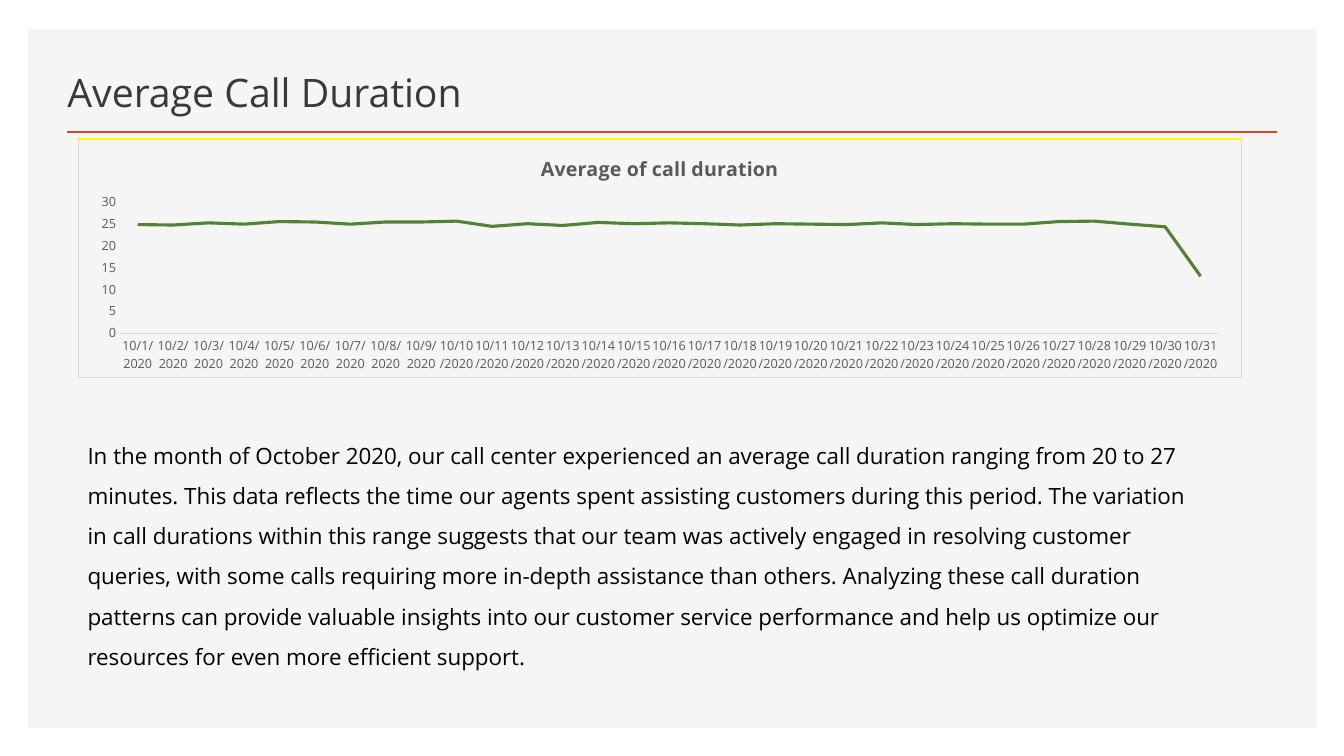
from lxml import etree
from pptx import Presentation
from pptx.chart.data import CategoryChartData
from pptx.dml.color import RGBColor
from pptx.enum.chart import XL_CHART_TYPE, XL_TICK_MARK
from pptx.enum.shapes import MSO_CONNECTOR, MSO_SHAPE
from pptx.enum.text import MSO_ANCHOR
from pptx.oxml import parse_xml
from pptx.oxml.ns import nsdecls, qn
from pptx.util import Inches, Pt

FONT = "Open Sans"
PANEL = RGBColor(0xF5, 0xF5, 0xF5)
ACCENT = RGBColor(0xD2, 0x47, 0x26)
HEADING = RGBColor(0x3B, 0x38, 0x38)
BLACK = RGBColor(0, 0, 0)
AXIS_TEXT = RGBColor(0x59, 0x59, 0x59)
AXIS_LINE = RGBColor(0xD9, 0xD9, 0xD9)
GREEN = RGBColor(0x54, 0x82, 0x35)
YELLOW = RGBColor(0xFF, 0xFF, 0)

DURATIONS = [24.8, 24.7, 25.2, 24.9, 25.5, 25.4, 24.9, 25.4, 25.4, 25.6, 24.4,
             25, 24.6, 25.3, 25, 25.2, 25, 24.7, 25, 24.9, 24.8, 25.2, 24.8,
             25, 24.9, 24.9, 25.5, 25.6, 24.9, 24.3, 13]
SUMMARY = (
    "In the month of October 2020, our call center experienced an average call "
    "duration ranging from 20 to 27 minutes. This data reflects the time our "
    "agents spent assisting customers during this period. The variation in call "
    "durations within this range suggests that our team was actively engaged in "
    "resolving customer queries, with some calls requiring more in-depth "
    "assistance than others. Analyzing these call duration patterns can provide "
    "valuable insights into our customer service performance and help us "
    "optimize our resources for even more efficient support.")


def style_font(font, size, color, bold=False):
    """Apply the slide typeface with a size, colour and weight."""
    font.name, font.size, font.bold = FONT, Pt(size), bold
    font.color.rgb = color


def add_rule(slide, left, top, width, color, weight):
    """Draw a horizontal line without a shadow."""
    rule = slide.shapes.add_connector(
        MSO_CONNECTOR.STRAIGHT, Inches(left), Inches(top),
        Inches(left + width), Inches(top))
    rule.line.color.rgb = color
    rule.line.width = Pt(weight)
    etree.SubElement(rule._element.spPr, qn("a:effectLst"))


def add_text(slide, box, text, size, color, anchor=MSO_ANCHOR.TOP, spacing=1.0):
    """Place one wrapped paragraph in a box."""
    frame = slide.shapes.add_textbox(*map(Inches, box)).text_frame
    frame.word_wrap = True
    frame.vertical_anchor = anchor
    paragraph = frame.paragraphs[0]
    paragraph.line_spacing = spacing
    run = paragraph.add_run()
    run.text = text
    style_font(run.font, size, color)


def add_panel(slide, box):
    """Fill the content area with light grey."""
    panel = slide.shapes.add_shape(MSO_SHAPE.RECTANGLE, *map(Inches, box))
    panel.shadow.inherit = False
    panel.fill.solid()
    panel.fill.fore_color.rgb = PANEL
    panel.line.fill.background()


def add_header(slide, box):
    """Place the slide title above its accent rule."""
    left, top, width, height = box
    add_text(slide, (left, top, 7.52, height - 0.12), "Average Call Duration",
             28, HEADING, MSO_ANCHOR.BOTTOM)
    add_rule(slide, left + 0.09, top + height, width - 0.09, ACCENT, 2)


def frame_chart(chart):
    """Fix the plot area and give the chart a thin grey frame."""
    sides = {"x": 0.036, "y": 0.262, "w": 0.944, "h": 0.552}
    modes = '<c:xMode val="edge"/><c:yMode val="edge"/>'
    values = "".join(f'<c:{side} val="{share}"/>' for side, share in sides.items())
    space = chart._chartSpace
    plot_area = space.find(".//" + qn("c:plotArea"))
    for layout in plot_area.findall(qn("c:layout")):
        plot_area.remove(layout)
    plot_area.insert(0, parse_xml(
        f'<c:layout {nsdecls("c")}><c:manualLayout><c:layoutTarget val="inner"/>'
        f'{modes}{values}</c:manualLayout></c:layout>'))
    space.find(qn("c:chart")).addnext(parse_xml(
        f'<c:spPr {nsdecls("c", "a")}><a:noFill/><a:ln w="9525"><a:solidFill>'
        f'<a:srgbClr val="{AXIS_LINE}"/></a:solidFill></a:ln></c:spPr>'))


def add_duration_chart(slide, box):
    """Plot the daily average call duration."""
    data = CategoryChartData()
    data.categories = [f"10/{day}/2020" for day in range(1, len(DURATIONS) + 1)]
    data.add_series("Series 1", DURATIONS)
    chart = slide.shapes.add_chart(
        XL_CHART_TYPE.LINE, *map(Inches, box), data).chart
    style_font(chart.font, 10, BLACK)
    chart.has_legend = False
    chart.has_title = True
    title = chart.chart_title.text_frame
    title.text = "Average of call duration"
    style_font(title.paragraphs[0].runs[0].font, 14, AXIS_TEXT, True)
    for axis in (chart.category_axis, chart.value_axis):
        axis.major_tick_mark = axis.minor_tick_mark = XL_TICK_MARK.NONE
        axis.has_major_gridlines = False
        style_font(axis.tick_labels.font, 9, AXIS_TEXT)
    chart.category_axis.format.line.color.rgb = AXIS_LINE
    chart.category_axis.format.line.width = Pt(0.75)
    values = chart.value_axis
    values.format.line.fill.background()
    values.minimum_scale, values.maximum_scale, values.major_unit = 0, 30, 5
    chart.plots[0].vary_by_categories = False
    series = chart.plots[0].series[0]
    series.smooth = False
    series.format.line.color.rgb = GREEN
    series.format.line.width = Pt(2.25)
    frame_chart(chart)
    left, top, width, _ = box
    add_rule(slide, left, top, width, YELLOW, 1.5)


def build_duration_slide(prs):
    """Assemble the call duration slide."""
    slide = prs.slides.add_slide(prs.slide_layouts[6])
    add_panel(slide, (0.28, 0.29, 12.78, 6.93))
    add_header(slide, (0.57, 0.49, 12.1, 0.82))
    add_duration_chart(slide, (0.77, 1.38, 11.55, 2.37))
    add_text(slide, (0.77, 4.2, 11.12, 2.47), SUMMARY, 16, BLACK, spacing=1.5)


prs = Presentation()
prs.slide_width, prs.slide_height = Inches(13.33), Inches(7.5)
build_duration_slide(prs)
prs.save("out.pptx")
